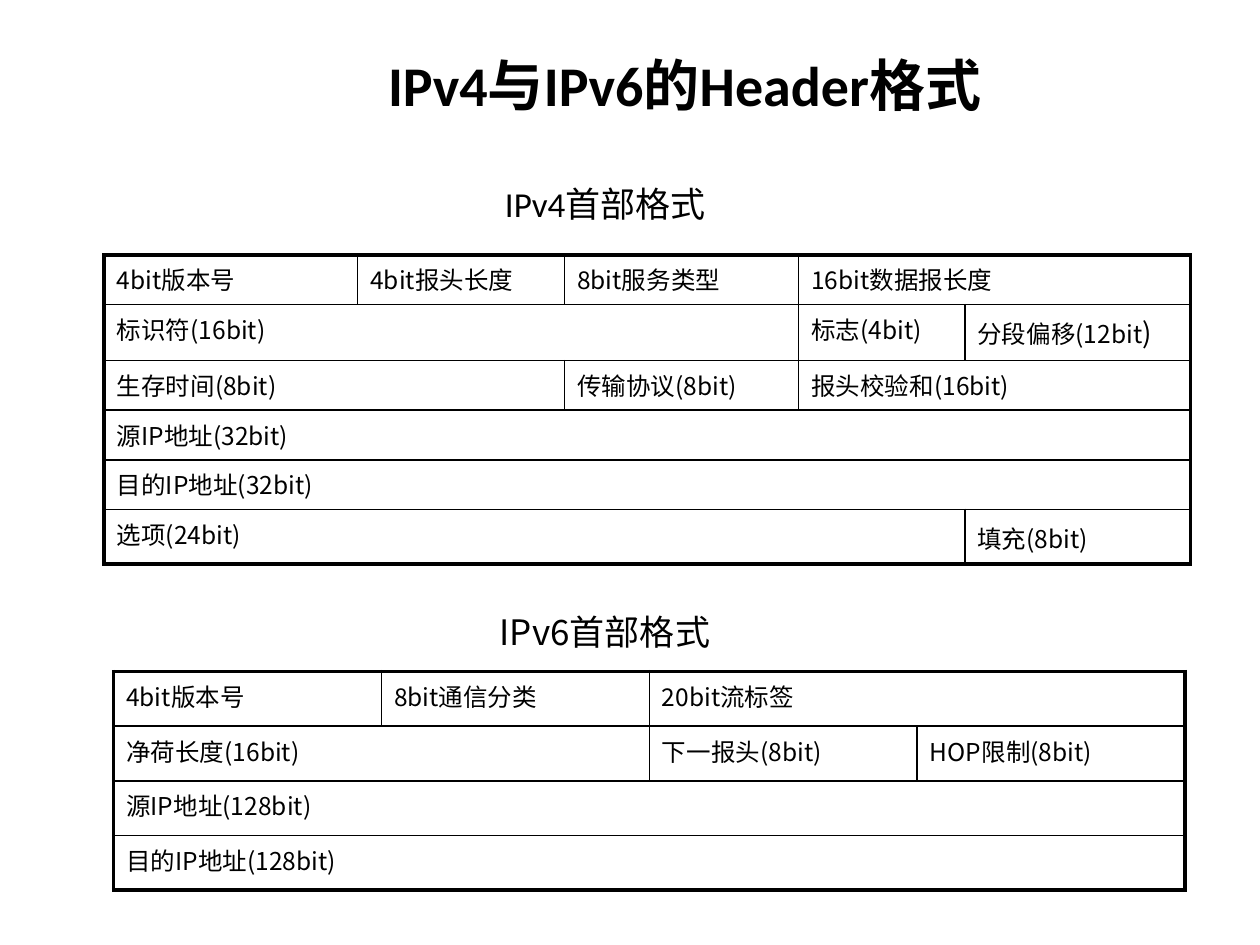
from dataclasses import dataclass

from lxml.etree import SubElement
from pptx import Presentation
from pptx.dml.color import RGBColor
from pptx.enum.text import MSO_ANCHOR, PP_ALIGN
from pptx.oxml.ns import qn
from pptx.util import Cm, Pt


@dataclass(frozen=True)
class Theme:
    ink: str = "000000"
    latin: str = "Calibri"
    cjk: str = "Noto Sans CJK SC"
    title: int = 32
    title_gap: int = 54
    caption: int = 20
    field: int = 14
    field_tail: int = 16
    outer: float = 2.25
    inner: float = 1


theme = Theme()


def add_run(paragraph, text, size, font, bold=False):
    run = paragraph.add_run()
    run.text = text
    run.font.size = Pt(size)
    run.font.bold = bold
    run.font.color.rgb = RGBColor.from_string(theme.ink)
    run.font.name = font
    SubElement(run.font._element, qn("a:ea"), typeface=theme.cjk)


def add_border(cell, side, is_outer):
    width = Pt(theme.outer if is_outer else theme.inner)
    line = SubElement(cell._tc.get_or_add_tcPr(), qn(f"a:ln{side}"), w=str(width))
    SubElement(SubElement(line, qn("a:solidFill")), qn("a:srgbClr"), val=theme.ink)


prs = Presentation()
prs.slide_width, prs.slide_height = Cm(25.4), Cm(19.05)
slide = prs.slides.add_slide(prs.slide_layouts[6])

# Title and the two captions: box, anchor, line spacing, runs
headings = [
    ((3.2, -0.08, 21.64, 2.92), MSO_ANCHOR.MIDDLE, 1,
     [("IPv4与IPv6的Header格式", theme.title, theme.latin, True),
      (" ", theme.title_gap, theme.latin, True)]),
    ((6.91, 3.56, 10.59, 0.81), MSO_ANCHOR.TOP, 1,
     [("IPv4首部格式", theme.caption, theme.latin)]),
    ((2.49, 12.34, 19.41, 0.79), MSO_ANCHOR.TOP, 0.8,
     [("IPv6首部格式", theme.caption, theme.cjk)]),
]
for box, anchor, spacing, runs in headings:
    frame = slide.shapes.add_textbox(*map(Cm, box)).text_frame
    frame.word_wrap = True
    frame.vertical_anchor = anchor
    heading = frame.paragraphs[0]
    heading.alignment = PP_ALIGN.CENTER
    heading.line_spacing = spacing
    for run in runs:
        add_run(heading, *run)

# Header layouts: each field is (columns spanned, text, optional larger tail)
ipv4_fields = [
    [(1, "4bit版本号"), (1, "4bit报头长度"), (1, "8bit服务类型"), (2, "16bit数据报长度")],
    [(3, "标识符(16bit)"), (1, "标志(4bit)"), (1, "分段偏移(12bit", ")")],
    [(2, "生存时间(8bit)"), (1, "传输协议(8bit)"), (2, "报头校验和(16bit)")],
    [(5, "源IP地址(32bit)")],
    [(5, "目的IP地址(32bit)")],
    [(4, "选项(24bit)"), (1, "填充(8bit)", " ")],
]
ipv6_fields = [
    [(1, "4bit版本号"), (1, "8bit通信分类"), (2, "20bit流标签")],
    [(2, "净荷长度(16bit)"), (1, "下一报头(8bit)"), (1, "HOP限制(8bit)")],
    [(4, "源IP地址(128bit)")],
    [(4, "目的IP地址(128bit)")],
]
headers = [
    (2.1, 5.14, [5.11, 4.17, 4.72, 3.35, 4.55], [1, 1.13, 1, 1, 1, 1.1], ipv4_fields),
    (2.29, 13.54, [5.4] * 4, [1.1] * 4, ipv6_fields),
]

for left, top, widths, heights, fields in headers:
    table = slide.shapes.add_table(
        len(heights), len(widths), Cm(left), Cm(top),
        Cm(sum(widths)), Cm(sum(heights))).table
    table.first_row = table.horz_banding = False
    for column, width in zip(table.columns, widths):
        column.width = Cm(width)
    for row, height in zip(table.rows, heights):
        row.height = Cm(height)

    for r, row_fields in enumerate(fields):
        start = 0
        for span, text, *tails in row_fields:
            end = start + span
            field = table.cell(r, start)
            if span > 1:
                field.merge(table.cell(r, end - 1))
            paragraph = field.text_frame.paragraphs[0]
            add_run(paragraph, text, theme.field, theme.cjk)
            for tail in tails:
                add_run(paragraph, tail, theme.field_tail, theme.cjk)

            # Thick frame around the header, thin lines between fields
            for c in range(start, end):
                cell = table.cell(r, c)
                if c == start:
                    add_border(cell, "L", start == 0)
                if c in (start, end - 1):
                    add_border(cell, "R", end == len(widths))
                add_border(cell, "T", r == 0)
                add_border(cell, "B", r == len(heights) - 1)
                cell.fill.background()
            start = end

prs.save("out.pptx")
